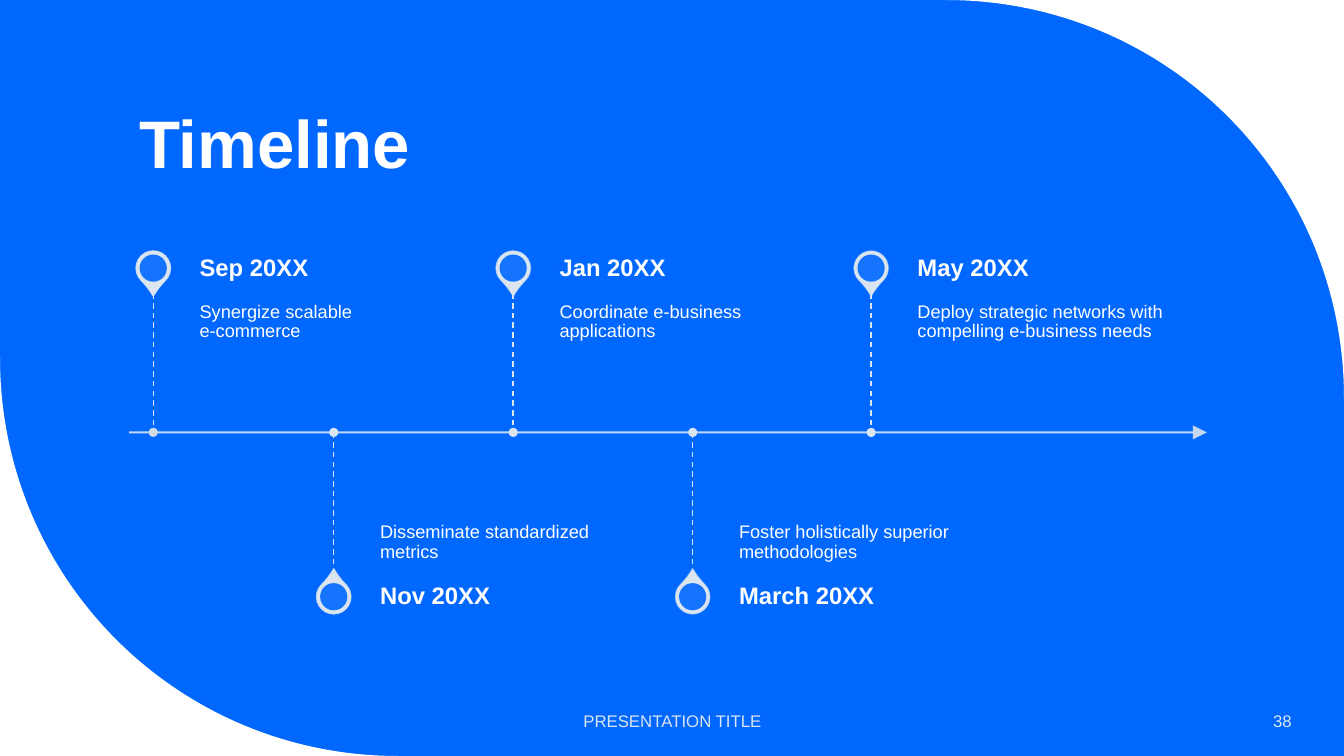
from dataclasses import dataclass

from lxml import etree
from pptx import Presentation
from pptx.dml.color import RGBColor
from pptx.enum import dml, shapes, text
from pptx.oxml import ns
from pptx.util import Inches, Pt

COLORS = {"blue": "0068FF", "white": "FFFFFF", "mist": "DAE5EF", "first_dot": "D0DBE4"}
FONT = "Arial"
SLIDE_WIDTH, SLIDE_HEIGHT = 13.33, 7.5
AXIS_Y = 4.29
CORNER_RADIUS, CORNER_HANDLE = 3.95, 2.19
PIN_SIZE, HOLE_SIZE, DOT_SIZE = 0.34, 0.27, 0.09
TEXT_WIDTH, DATE_HEIGHT, DETAIL_HEIGHT = 2.53, 0.49, 1.38


@dataclass
class Milestone:
    x: float
    date: str
    detail: str
    above: bool
    pin_opacity: int
    dot_color: str = "mist"


MILESTONES = [
    Milestone(1.52, "Sep 20XX", "Synergize scalable\ne-commerce", True, 90, "first_dot"),
    Milestone(3.31, "Nov 20XX", "Disseminate standardized metrics", False, 80),
    Milestone(5.09, "Jan 20XX", "Coordinate e-business applications", True, 70),
    Milestone(6.87, "March 20XX", "Foster holistically superior methodologies", False, 60),
    Milestone(8.64, "May 20XX", "Deploy strategic networks with compelling e-business needs",
              True, 50),
]


def rgb(name: str) -> RGBColor:
    return RGBColor.from_string(COLORS[name])


def set_opacity(element, percent: int) -> None:
    """Make the first solid colour inside the element partly transparent."""
    color = element.find(".//" + ns.qn("a:srgbClr"))
    etree.SubElement(color, ns.qn("a:alpha"), val=str(percent * 1000))


def write(shape, content: str, *, size: float, color: str = "white", bold: bool = False,
          align=text.PP_ALIGN.LEFT, anchor=text.MSO_ANCHOR.TOP, spacing: float = 1.0,
          insets=(0.1, 0.05, 0.1, 0.05)) -> None:
    frame = shape.text_frame
    frame.word_wrap = True
    frame.auto_size = text.MSO_AUTO_SIZE.NONE
    frame.vertical_anchor = anchor
    (frame.margin_left, frame.margin_top,
     frame.margin_right, frame.margin_bottom) = map(Inches, insets)
    paragraph = frame.paragraphs[0]
    paragraph.text = content
    paragraph.alignment = align
    paragraph.line_spacing = spacing
    for run in paragraph.runs:
        run.font.name = FONT
        run.font.size = Pt(size)
        run.font.bold = bold
        run.font.color.rgb = rgb(color)


def add_text(slide, left: float, top: float, width: float, height: float,
             content: str, **formatting) -> None:
    box = slide.shapes.add_textbox(*map(Inches, (left, top, width, height)))
    write(box, content, **formatting)


def paint(shape, color: str) -> None:
    shape.shadow.inherit = False
    shape.fill.solid()
    shape.fill.fore_color.rgb = rgb(color)
    shape.line.fill.background()


def add_round(slide, kind, center_x: float, center_y: float, size: float, color: str):
    shape = slide.shapes.add_shape(
        kind, Inches(center_x - size / 2), Inches(center_y - size / 2), Inches(size), Inches(size))
    paint(shape, color)
    return shape


def add_line(slide, x1: float, y1: float, x2: float, y2: float, width: float):
    line = slide.shapes.add_connector(
        shapes.MSO_CONNECTOR.STRAIGHT, *map(Inches, (x1, y1, x2, y2)))
    line.line.color.rgb = rgb("mist")
    line.line.width = Pt(width)
    etree.SubElement(line._element.spPr, ns.qn("a:effectLst"))
    return line


def add_corner(slide, x: float, y: float, inward_x: int, inward_y: int) -> None:
    """Fill the area between a slide corner and a quarter circle."""
    gap = CORNER_RADIUS - CORNER_HANDLE
    offsets = [(CORNER_RADIUS, 0), (gap, 0), (0, gap), (0, CORNER_RADIUS)]
    builder = slide.shapes.build_freeform(Inches(x), Inches(y))
    builder.add_line_segments(
        [(Inches(x + inward_x * dx), Inches(y + inward_y * dy)) for dx, dy in offsets])
    corner = builder.convert_to_shape()
    paint(corner, "white")

    # The last three segments become the handles and end of one curve.
    segments = list(corner._element.iter(ns.qn("a:lnTo")))[1:4]
    curve = etree.Element(ns.qn("a:cubicBezTo"))
    segments[0].addprevious(curve)
    for segment in segments:
        curve.append(segment[0])
        segment.getparent().remove(segment)


def add_axis(slide) -> None:
    axis = add_line(slide, 1.28, AXIS_Y, 11.97, AXIS_Y, 1.5)
    outline = axis.line._get_or_add_ln()
    set_opacity(outline, 90)
    etree.SubElement(outline, ns.qn("a:tailEnd"), type="triangle", w="lg", len="lg")


def add_milestone(slide, milestone: Milestone) -> None:
    x, above = milestone.x, milestone.above
    pin_y = 2.66 if above else 5.92
    pin = add_round(slide, shapes.MSO_SHAPE.TEAR, x, pin_y, PIN_SIZE, "mist")
    pin.adjustments[0] = 1.15
    pin.rotation = 135 if above else 315
    pin.line.color.rgb = rgb("mist")
    pin.line.width = Pt(1)
    set_opacity(pin.line._get_or_add_ln(), milestone.pin_opacity)
    hole = add_round(slide, shapes.MSO_SHAPE.OVAL, x, pin_y, HOLE_SIZE, "blue")
    set_opacity(hole._element.spPr, 90)

    text_x = x + 0.46
    add_text(slide, text_x, 2.91 if above else AXIS_Y, TEXT_WIDTH, DETAIL_HEIGHT,
             milestone.detail, size=13, spacing=0.9,
             anchor=text.MSO_ANCHOR.TOP if above else text.MSO_ANCHOR.BOTTOM,
             insets=(0, 0.09, 0.09, 0.14) if above else (0, 0.14, 0, 0.09))
    add_text(slide, text_x, 2.42 if above else 5.68, TEXT_WIDTH, DATE_HEIGHT,
             milestone.date, size=17, bold=True, spacing=0.9,
             anchor=text.MSO_ANCHOR.MIDDLE, insets=(0, 0, 0.12, 0))

    start_y, end_y = (2.91, AXIS_Y) if above else (AXIS_Y, 5.68)
    stem = add_line(slide, x, start_y, x, end_y, 1)
    stem.line.dash_style = dml.MSO_LINE.DASH
    add_round(slide, shapes.MSO_SHAPE.OVAL, x, AXIS_Y, DOT_SIZE, milestone.dot_color)


def main() -> None:
    presentation = Presentation()
    presentation.slide_width = Inches(SLIDE_WIDTH)
    presentation.slide_height = Inches(SLIDE_HEIGHT)
    slide = presentation.slides.add_slide(presentation.slide_layouts[5])
    slide.background.fill.solid()
    slide.background.fill.fore_color.rgb = rgb("blue")

    add_corner(slide, SLIDE_WIDTH, 0, -1, 1)
    add_corner(slide, 0, SLIDE_HEIGHT, 1, -1)

    title = slide.shapes.title
    title.left, title.top, title.width, title.height = map(Inches, (1.28, 0, 10.69, 1.87))
    write(title, "Timeline", size=48, bold=True, spacing=0.9, anchor=text.MSO_ANCHOR.BOTTOM)

    add_axis(slide)
    for milestone in MILESTONES:
        add_milestone(slide, milestone)

    add_text(slide, 4.42, 6.95, 4.5, 0.4, "PRESENTATION TITLE", size=12, color="mist",
             align=text.PP_ALIGN.CENTER, anchor=text.MSO_ANCHOR.MIDDLE)
    add_text(slide, 11.1, 6.95, 1.81, 0.4, "38", size=12, color="mist",
             align=text.PP_ALIGN.RIGHT, anchor=text.MSO_ANCHOR.MIDDLE)
    presentation.save("out.pptx")


if __name__ == "__main__":
    main()
